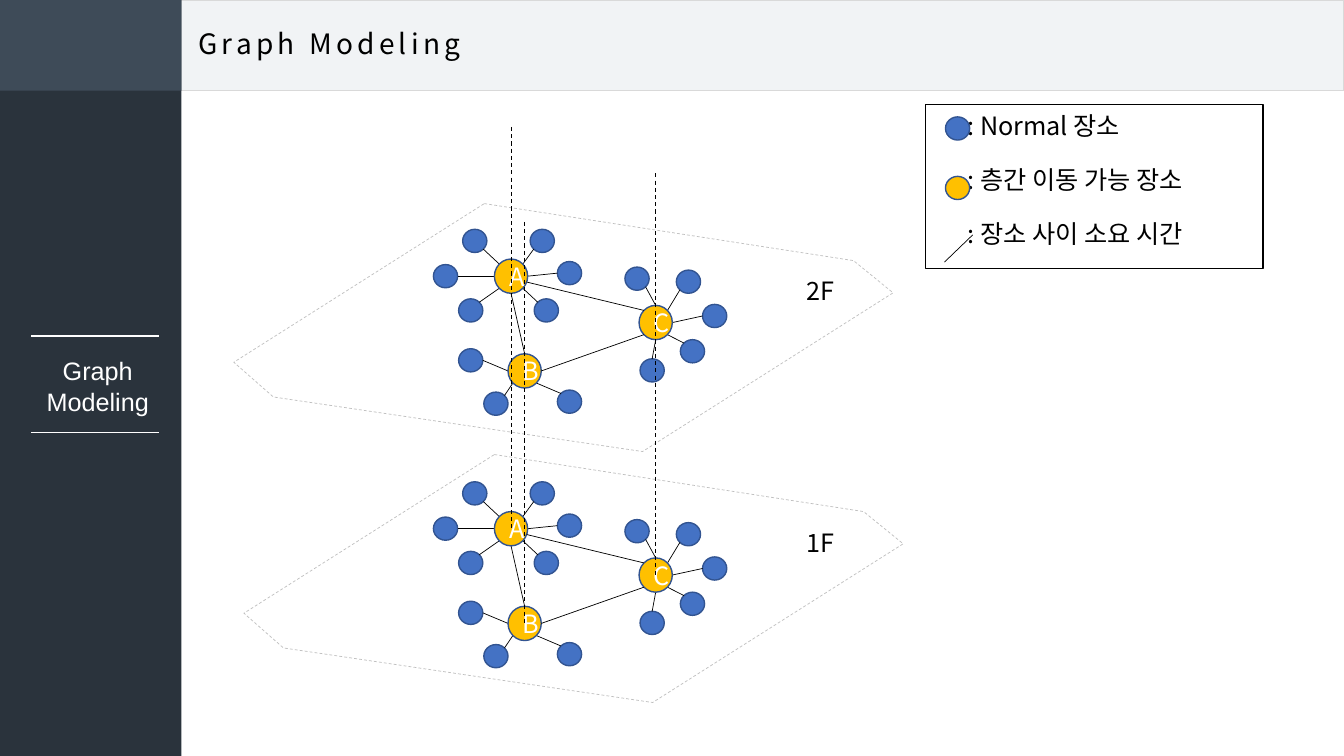
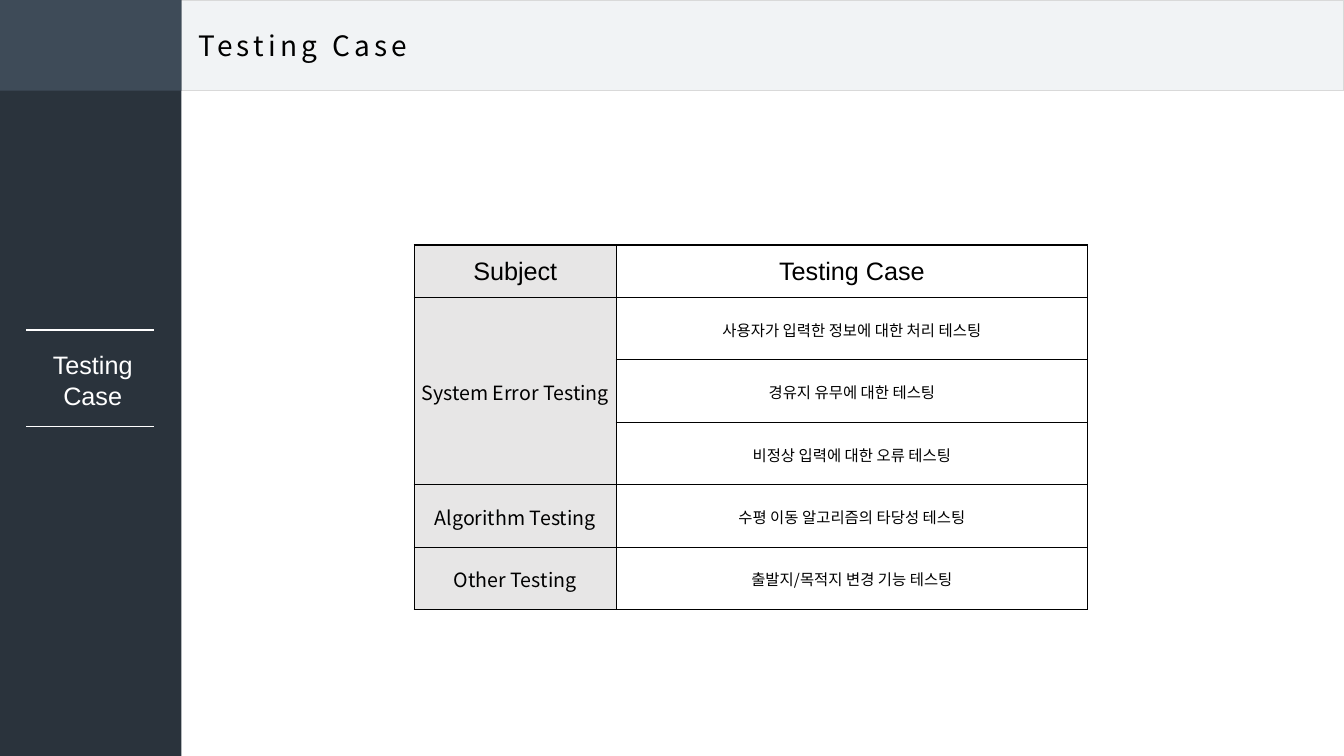
from dataclasses import dataclass
from math import cos, sin, radians

from lxml.etree import SubElement as Sub
from pptx import Presentation
from pptx.dml.color import RGBColor as Rgb
from pptx.enum.dml import MSO_LINE_DASH_STYLE as Dash
from pptx.enum.shapes import MSO_CONNECTOR as Conn, MSO_SHAPE as Kind
from pptx.enum.text import MSO_ANCHOR as Anchor, PP_ALIGN as Align
from pptx.oxml.ns import qn
from pptx.util import Emu, Pt


@dataclass(frozen=True)
class Theme:
    black: str = "000000"
    white: str = "FFFFFF"
    band: str = "F1F3F5"
    rule: str = "D9D9D9"
    side: str = "2A333C"
    corner: str = "3E4B58"
    blue: str = "4472C4"
    gold: str = "FFC000"
    ring: str = "325491"
    edge: str = "BFBFBF"
    gray: str = "E7E6E6"
    sans: str = "Arial"
    noto: str = "Noto Sans CJK KR"
    head: int = 20
    body: int = 18
    row: int = 14
    cell: int = 11


T = Theme()

# Grid: 10 columns and 10 rows to the inch
COLS, ROWS = 133.33, 75
SIDE, TOP = 18, 9
LEAF, HUB = (2.4, 2.3), (3.3, 3.4)

# Compass angles, clockwise from east
E, ESE, SE, S, SW, W, NW, N, NE = 0, 20, 45, 90, 135, 180, 225, 270, 315

# Hub: place in its floor, then leaves as offset, hub side and leaf side
HUBS = {
    "A": ((27.5, 7.2), [(5.8, -0.3, E), (3.1, -3.5, NE), (-6.5, 0, W),
                        (-3.6, -3.5, NW), (-4, 3.4, SW), (3.5, 3.4, SE)]),
    "B": ((28.85, 16.6), [(4.45, 3.05, SE), (-2.85, 3.25, SW),
                          (-5.35, -1.05, W)]),
    "C": ((41.85, 11.8), [(5.85, -0.65, E), (3.25, -4.05, NE),
                          (-1.85, -4.35, N, SE), (3.65, 2.85, SE),
                          (-0.35, 4.75, S)]),
}
LINKS = [("B", N, "A", S), ("B", E, "C", SW), ("A", ESE, "C", NW)]
PLANE = [(0.38, 0), (0.94, 0.23), (1, 0.36), (0.62, 1), (0.06, 0.78), (0, 0.64)]

CASES = [
    ("Subject", "Testing Case"),
    ("System Error Testing", "사용자가 입력한 정보에 대한 처리 테스팅"),
    (None, "경유지 유무에 대한 테스팅"),
    (None, "비정상 입력에 대한 오류 테스팅"),
    ("Algorithm Testing", "수평 이동 알고리즘의 타당성 테스팅"),
    ("Other Testing", "출발지/목적지 변경 기능 테스팅"),
]


def grid(*vals):
    return [Emu(round(v * 91440)) for v in vals]


def paint(shape, fill=None, line=None, width=1):
    shape.shadow.inherit = False
    if fill:
        shape.fill.solid()
        shape.fill.fore_color.rgb = Rgb.from_string(fill)
    else:
        shape.fill.background()
    if line:
        shape.line.color.rgb = Rgb.from_string(line)
        shape.line.width = Pt(width)
    else:
        shape.line.fill.background()
    return shape


def write(frame, text, size=T.body, font=T.noto, color=T.black,
          align=Align.LEFT, gap=0, track=0, lead=None, indent=0):
    frame.word_wrap = True
    for i, part in enumerate(text.split("\n")):
        par = frame.paragraphs[0] if i == 0 else frame.add_paragraph()
        par.alignment = align
        if i and gap:
            par.space_before = Pt(gap)
        if lead:
            par.line_spacing = lead
        if indent:
            prop = par._p.get_or_add_pPr()
            prop.set("marL", str(grid(indent)[0]))
            prop.set("indent", "0")
        run = par.add_run()
        run.text = part
        run.font.size = Pt(size)
        run.font.name = font
        run.font.color.rgb = Rgb.from_string(color)
        prop = run._r.get_or_add_rPr()
        Sub(prop, qn("a:ea")).set("typeface", font)
        if track:
            prop.set("spc", str(track * 100))


def rect(sl, box, **look):
    return paint(sl.shapes.add_shape(Kind.RECTANGLE, *grid(*box)), **look)


def label(sl, box, text, **form):
    write(sl.shapes.add_textbox(*grid(*box)).text_frame, text, **form)


def line(sl, start, end, color=T.black, width=0.5, dash=None):
    con = sl.shapes.add_connector(Conn.STRAIGHT, *grid(*start, *end))
    con.line.color.rgb = Rgb.from_string(color)
    con.line.width = Pt(width)
    if dash:
        con.line.dash_style = dash
    Sub(con._element.spPr, qn("a:effectLst"))


def node(sl, mid, size, fill):
    box = (mid[0] - size[0] / 2, mid[1] - size[1] / 2, *size)
    return paint(sl.shapes.add_shape(Kind.OVAL, *grid(*box)), fill, T.ring)


def rim(mid, size, angle):
    turn = radians(angle)
    return (mid[0] + size[0] / 2 * cos(turn), mid[1] + size[1] / 2 * sin(turn))


def frame(deck, title, drop, side, spot):
    """Bands, title and side label that every slide has."""
    sl = deck.slides.add_slide(deck.slide_layouts[6])
    rect(sl, (15.7, 0, COLS - 15.7, TOP), fill=T.band, line=T.rule)
    rect(sl, (0, 0, SIDE, ROWS), fill=T.side)
    rect(sl, (0, 0, SIDE, TOP), fill=T.corner)
    label(sl, (18.7, drop, 60, 4.4), title, size=T.head, track=3)
    x, y = spot
    for dy, width in ((0, 1.5), (9.6, 1)):
        line(sl, (x, y + dy), (x + 12.7, y + dy), T.white, width)
    label(sl, (x - 0.9, y + 1.5, 15, 7.1), side, font=T.sans,
          color=T.white, align=Align.CENTER)
    return sl


def plane(sl, box):
    x, y, w, h = box
    pts = [tuple(grid(x + a * w, y + b * h)) for a, b in PLANE]
    pen = sl.shapes.build_freeform(*pts[0])
    pen.add_line_segments(pts[1:], close=True)
    paint(pen.convert_to_shape(), T.white, T.edge, 0.5).line.dash_style = Dash.DASH


def floor(sl, box, name):
    x, y = box[:2]
    mids = {key: (x + at[0], y + at[1]) for key, (at, _) in HUBS.items()}
    for key, mid in mids.items():
        for dx, dy, out, *back in HUBS[key][1]:
            leaf = (mid[0] + dx, mid[1] + dy)
            node(sl, leaf, LEAF, T.blue)
            line(sl, rim(mid, HUB, out),
                 rim(leaf, LEAF, back[0] if back else out + 180))
        hub = node(sl, mid, HUB, T.gold).text_frame
        hub.vertical_anchor = Anchor.MIDDLE
        write(hub, key, color=T.white, align=Align.CENTER)
    for a, out, b, back in LINKS:
        line(sl, rim(mids[a], HUB, out), rim(mids[b], HUB, back))
    label(sl, (x + 53.2, y + 6.6, 9.9, 4), name, align=Align.CENTER)
    return mids.values()


def legend(sl, box):
    x, y = box[:2]
    text = rect(sl, box, line=T.black, width=0.75).text_frame
    text.vertical_anchor = Anchor.TOP
    write(text, ": Normal 장소\n: 층간 이동 가능 장소\n: 장소 사이 소요 시간",
          gap=17, indent=3.2)
    for dy, fill in ((2.35, T.blue), (8.25, T.gold)):
        node(sl, (x + 3.2, y + dy), LEAF, fill)
    line(sl, (x + 1.9, y + 15.6), (x + 4.7, y + 12.9))


def cases(sl, box):
    tab = sl.shapes.add_table(len(CASES), 2, *grid(*box)).table
    for col, share in zip(tab.columns, (0.3, 0.7)):
        col.width = grid(box[2] * share)[0]
    for r, texts in enumerate(CASES):
        tab.rows[r].height = grid(6.2 if r else 5.2)[0]
        for c, text in enumerate(texts):
            cell = tab.cell(r, c)
            cell.vertical_anchor = Anchor.MIDDLE
            cell.margin_left = cell.margin_right = grid(0.7)[0]
            cell.margin_top = cell.margin_bottom = 0
            if text:
                write(cell.text_frame, text, align=Align.CENTER, lead=1.07,
                      font=T.noto if r else T.sans,
                      size=(T.cell if c else T.row) if r else T.body)
            # Borders come before the fill in the cell properties
            prop = cell._tc.get_or_add_tcPr()
            for side in ("lnL", "lnR", "lnT", "lnB"):
                ln = Sub(prop, qn("a:" + side), w=str(Pt(1)))
                Sub(Sub(ln, qn("a:solidFill")), qn("a:srgbClr"), val=T.black)
            cell.fill.solid()
            cell.fill.fore_color.rgb = Rgb.from_string(T.white if c else T.gray)
    tab.cell(1, 0).merge(tab.cell(3, 0))


def graph(deck):
    sl = frame(deck, "Graph Modeling", 2.1, "Graph\nModeling", (3.1, 33.3))
    size = (65.4, 24.6)
    upper, lower = (23.2, 20.2, *size), (23.2, 45.25, *size)
    plane(sl, (24.2, 45.1, *size))
    plane(sl, upper)
    mids = floor(sl, upper, "2F")
    floor(sl, lower, "1F")
    # Lifts between the floors
    for x, y in mids:
        line(sl, (x, y - 14.8), (x, y + 25.3), width=0.75, dash=Dash.DASH)
    legend(sl, (91.8, 10.4, 33.5, 16.2))


def testing(deck):
    sl = frame(deck, "Testing Case", 2.3, "Testing\nCase", (2.6, 32.7))
    cases(sl, (41.1, 24.3, 66.8, 36.2))


def main():
    deck = Presentation()
    deck.slide_width, deck.slide_height = grid(COLS, ROWS)
    graph(deck)
    testing(deck)
    deck.save("out.pptx")


if __name__ == "__main__":
    main()
